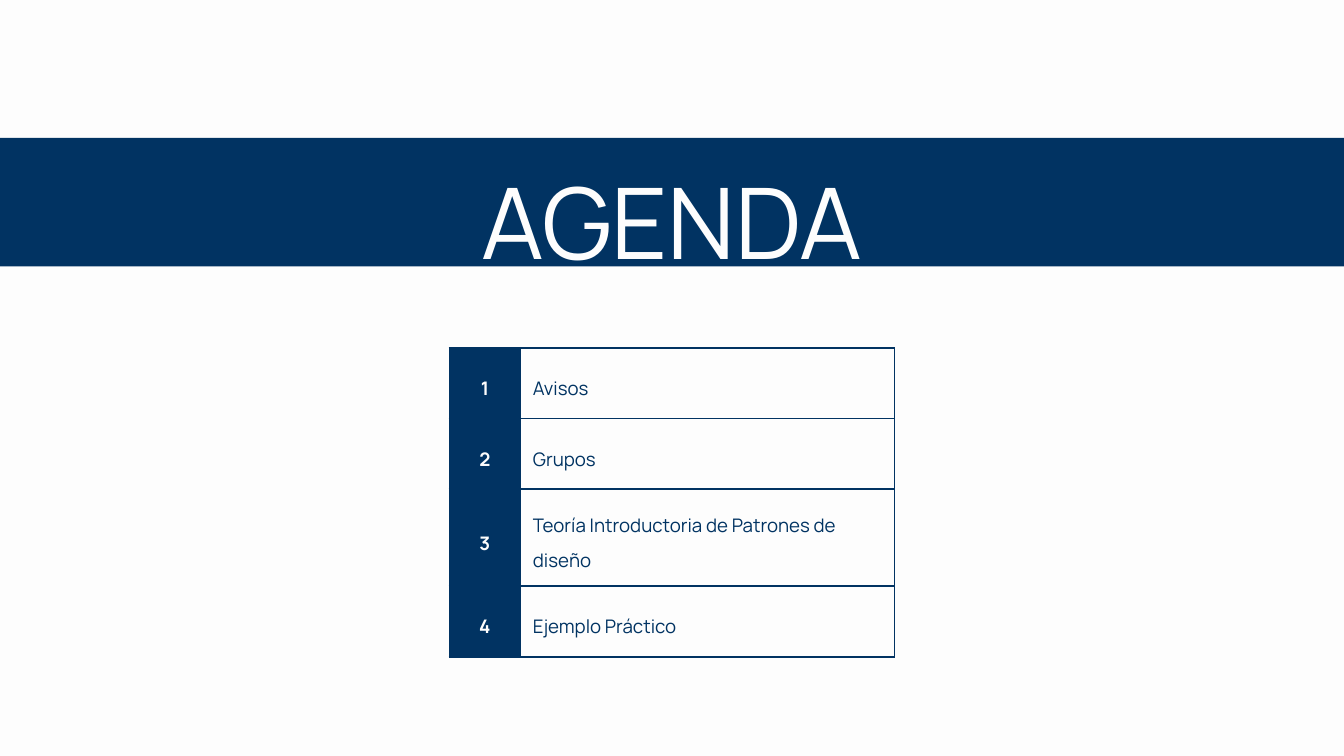
from dataclasses import dataclass

from lxml.etree import SubElement
from pptx import Presentation
from pptx.dml.color import RGBColor
from pptx.enum.shapes import MSO_SHAPE as Shape
from pptx.enum.text import MSO_ANCHOR as Anchor, MSO_AUTO_SIZE as AutoSize, PP_ALIGN as Align
from pptx.oxml.ns import qn
from pptx.slide import Slide
from pptx.table import _Cell as Cell
from pptx.text.text import TextFrame
from pptx.util import Inches, Pt


@dataclass(frozen=True)
class Theme:
    """Colours, type sizes and line weights of the deck."""
    navy: str = "013362"
    paper: str = "FDFDFD"
    font: str = "Manrope"
    title_size: float = 105.8
    body_size: float = 20
    border: float = 2.07


@dataclass(frozen=True)
class Area:
    """A rectangle given in shares of the slide's size."""
    left: float
    top: float
    width: float
    height: float

    def lengths(self) -> tuple[int, int, int, int]:
        """Return left, top, width and height as slide lengths."""
        return (int(WIDTH * self.left), int(HEIGHT * self.top),
                int(WIDTH * self.width), int(HEIGHT * self.height))


@dataclass(frozen=True)
class TextStyle:
    """How the text of one box or cell is set."""
    size: float
    colour: str
    align: Align
    spacing: float
    bold: bool = False


THEME = Theme()
WIDTH, HEIGHT = Inches(20), Inches(11.25)
BLEED = 0.032
BAND = Area(-BLEED, 0.1825, 1 + 2 * BLEED, 0.17)
TITLE = Area(0.325, 0.1815, 0.35, 0.158)
TOPICS = ("Avisos", "Grupos", "Teoría Introductoria de Patrones de diseño", "Ejemplo Práctico")
ROW, TOPIC_WIDTH, INSET = Inches(1.05), Inches(5.57), Inches(0.19)
TABLE_TOP = Inches(5.18)

TITLE_STYLE = TextStyle(THEME.title_size, THEME.paper, Align.CENTER, 1.2)
NUMBER_STYLE = TextStyle(THEME.body_size, THEME.paper, Align.CENTER, 1.4, bold=True)
TOPIC_STYLE = TextStyle(THEME.body_size, THEME.navy, Align.LEFT, 1.4)


def write(frame: TextFrame, text: str, style: TextStyle) -> None:
    """Set one styled run in the first paragraph of a frame."""
    para = frame.paragraphs[0]
    para.alignment, para.line_spacing = style.align, style.spacing
    span = para.add_run()
    span.text = text
    span.font.name, span.font.size, span.font.bold = THEME.font, Pt(style.size), style.bold
    span.font.color.rgb = RGBColor.from_string(style.colour)


def draw_borders(cell: Cell) -> None:
    """Outline all four sides of a cell."""
    properties = cell._tc.get_or_add_tcPr()
    for side in ("a:lnL", "a:lnR", "a:lnT", "a:lnB"):
        line = SubElement(properties, qn(side), w=str(int(Pt(THEME.border))))
        fill = SubElement(line, qn("a:solidFill"))
        SubElement(fill, qn("a:srgbClr"), val=THEME.navy)


def fill_cell(cell: Cell, text: str, style: TextStyle, colour: str | None = None) -> None:
    """Give a cell its borders, fill, margins and text."""
    draw_borders(cell)
    if colour:
        cell.fill.solid()
        cell.fill.fore_color.rgb = RGBColor.from_string(colour)
    else:
        cell.fill.background()
    cell.margin_left = cell.margin_right = cell.margin_top = cell.margin_bottom = INSET
    cell.vertical_anchor = Anchor.MIDDLE
    write(cell.text_frame, text, style)


def draw_agenda(page: Slide) -> None:
    """Draw the numbered topics as a table centred on the slide."""
    width = ROW + TOPIC_WIDTH
    table = page.shapes.add_table(len(TOPICS), 2, (WIDTH - width) // 2, TABLE_TOP,
                                  width, ROW * len(TOPICS)).table
    table.first_row = table.horz_banding = False
    table.columns[0].width, table.columns[1].width = ROW, TOPIC_WIDTH
    for index, topic in enumerate(TOPICS):
        table.rows[index].height = ROW
        fill_cell(table.cell(index, 0), str(index + 1), NUMBER_STYLE, THEME.navy)
        fill_cell(table.cell(index, 1), topic, TOPIC_STYLE)


def draw_band(page: Slide) -> None:
    """Draw the navy band that runs past both edges."""
    band = page.shapes.add_shape(Shape.RECTANGLE, *BAND.lengths())
    band.shadow.inherit = False
    band.fill.solid()
    band.fill.fore_color.rgb = RGBColor.from_string(THEME.navy)
    band.line.fill.background()


def draw_title(page: Slide) -> None:
    """Write the title over the band."""
    frame = page.shapes.add_textbox(*TITLE.lengths()).text_frame
    frame.margin_left = frame.margin_right = frame.margin_top = frame.margin_bottom = 0
    frame.word_wrap, frame.auto_size = True, AutoSize.SHAPE_TO_FIT_TEXT
    write(frame, "AGENDA", TITLE_STYLE)


def main() -> None:
    """Build and save the agenda slide."""
    deck = Presentation()
    deck.slide_width, deck.slide_height = WIDTH, HEIGHT
    page = deck.slides.add_slide(deck.slide_layouts[6])
    page.background.fill.solid()
    page.background.fill.fore_color.rgb = RGBColor.from_string(THEME.paper)
    draw_agenda(page)
    draw_band(page)
    draw_title(page)
    deck.save("out.pptx")


if __name__ == "__main__":
    main()
